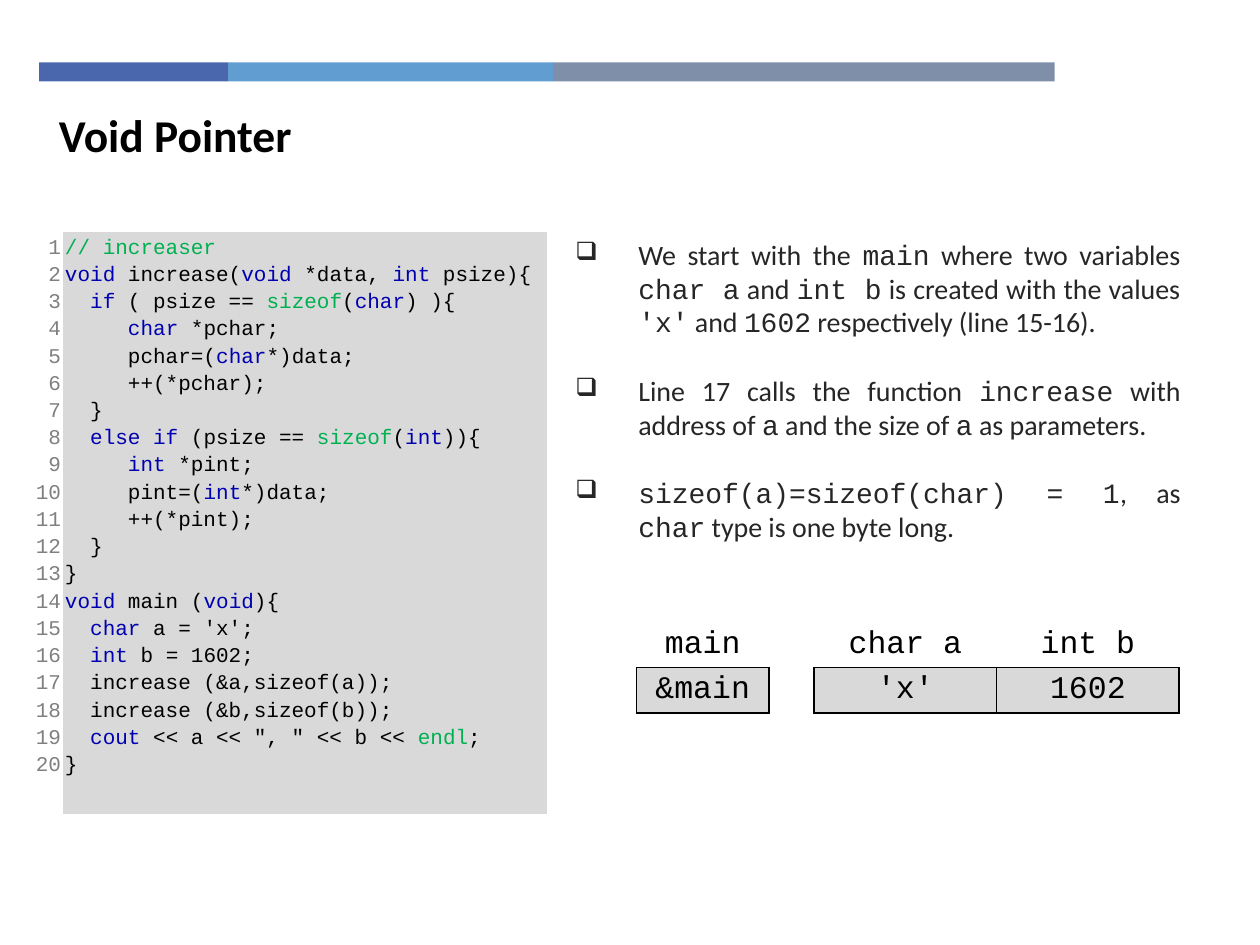
from dataclasses import dataclass
from typing import Callable, Sequence

from lxml.etree import SubElement
from pptx import Presentation
from pptx.dml.color import RGBColor
from pptx.enum.shapes import MSO_SHAPE as Shape
from pptx.enum.text import MSO_ANCHOR as Anchor, PP_ALIGN as Align
from pptx.oxml.ns import qn
from pptx.util import Cm, Pt


@dataclass(frozen=True)
class Theme:
    sans: str = "Calibri"
    mono: str = "Courier New"
    title_size: int = 26
    body_size: int = 16
    code_size: int = 12
    memory_size: int = 18
    black: str = "000000"
    body: str = "262626"
    number: str = "808080"
    keyword: str = "0000B0"
    builtin: str = "00B050"
    panel: str = "D9D9D9"


@dataclass(frozen=True)
class Bar:
    left: float
    width: float
    color: str


@dataclass(frozen=True)
class MemoryColumn:
    width: float
    name: str = ""
    value: str = ""


THEME = Theme()
MARK = "`"  # encloses inline code in the body and coloured words in the code

BARS = [
    Bar(0.79, 3.81, "4A66AC"),
    Bar(4.6, 6.55, "629DD1"),
    Bar(11.15, 10.11, "7F8FA9"),
]

EXPLANATION = [
    "We start with the `main` where two variables `char a` and `int b` "
    "is created with the values `'x'` and `1602` respectively (line 15-16).",
    "Line 17 calls the function `increase` with address of `a` "
    "and the size of `a` as parameters.",
    "`sizeof(a)=sizeof(char) = 1`, as `char` type is one byte long.",
]

CODE = """\
`// increaser`
`void` increase(`void` *data, `int` psize){
  `if` ( psize == `sizeof`(`char`) ){
     `char` *pchar;
     pchar=(`char`*)data;
     ++(*pchar);
  }
  `else if` (psize == `sizeof`(`int`)){
     `int` *pint;
     pint=(`int`*)data;
     ++(*pint);
  }
}
`void` main (`void`){
  `char` a = 'x';
  `int` b = 1602;
  increase (&a,sizeof(a));
  increase (&b,sizeof(b));
  `cout` << a << ", " << b << `endl`;
}""".splitlines()
BUILTINS = {"// increaser", "sizeof", "endl"}

MEMORY = [
    MemoryColumn(2.67, "main", "&main"),
    MemoryColumn(0.91),
    MemoryColumn(3.68, "char a", "'x'"),
    MemoryColumn(3.68, "int b", "1602"),
]


def inline_code(word: str) -> dict:
    return {"font": THEME.mono}


def highlight(word: str) -> dict:
    return {"color": THEME.builtin if word in BUILTINS else THEME.keyword}


def format_run(run, *, font: str, size: float, color: str, bold: bool = False) -> None:
    run.font.name, run.font.size, run.font.bold = font, Pt(size), bold
    run.font.color.rgb = RGBColor.from_string(color)


def add_bullet(paragraph) -> None:
    properties = paragraph._p.get_or_add_pPr()
    properties.set("marL", str(Cm(1.27)))
    properties.set("indent", str(-Cm(1.27)))
    SubElement(properties, qn("a:buSzPct"), val="90000")
    SubElement(properties, qn("a:buChar"), char="❑")


def write(frame, lines: Sequence[str], *, align=Align.LEFT, before: float = 0,
          spacing: float = 1.0, bullet: bool = False,
          marked: Callable[[str], dict] = inline_code, **style) -> None:
    """Write one paragraph per line; marked words get extra formatting."""
    frame.word_wrap = True
    for index, line in enumerate(lines):
        paragraph = frame.add_paragraph() if index else frame.paragraphs[0]
        paragraph.alignment = align
        paragraph.line_spacing = spacing
        paragraph.space_before = Pt(before)
        if bullet:
            add_bullet(paragraph)
        for position, piece in enumerate(line.split(MARK)):
            if piece:
                run = paragraph.add_run()
                run.text = piece
                extra = marked(piece) if position % 2 else {}
                format_run(run, **{**style, **extra})


def add_bar(slide, bar: Bar) -> None:
    shape = slide.shapes.add_shape(
        Shape.RECTANGLE, Cm(bar.left), Cm(1.26), Cm(bar.width), Cm(0.38))
    shape.shadow.inherit = False
    shape.fill.solid()
    shape.fill.fore_color.rgb = RGBColor.from_string(bar.color)
    shape.line.fill.background()


def add_text(slide, box: Sequence[float], lines: Sequence[str], **style) -> None:
    shape = slide.shapes.add_textbox(*map(Cm, box))
    write(shape.text_frame, lines, **style)


def add_table(slide, left: float, top: float, widths: Sequence[float],
              heights: Sequence[float]):
    table = slide.shapes.add_table(
        len(heights), len(widths), Cm(left), Cm(top),
        Cm(sum(widths)), Cm(sum(heights))).table
    table.first_row = table.horz_banding = False
    for column, width in zip(table.columns, widths):
        column.width = Cm(width)
    for row, height in zip(table.rows, heights):
        row.height = Cm(height)
    return table


def fill_cell(cell, lines: Sequence[str], *, fill: str = "", edges: str = "",
              side: float = 0.04, end: float = 0.03, anchor=Anchor.TOP, **style) -> None:
    cell.margin_left = cell.margin_right = Cm(side)
    cell.margin_top = cell.margin_bottom = Cm(end)
    cell.vertical_anchor = anchor
    if fill:
        cell.fill.solid()
        cell.fill.fore_color.rgb = RGBColor.from_string(fill)
    else:
        cell.fill.background()
    properties = cell._tc.get_or_add_tcPr()
    for index, edge in enumerate("LRTB"):
        line = SubElement(properties, qn(f"a:ln{edge}"), w=str(Pt(1)))
        if edge in edges:
            solid = SubElement(line, qn("a:solidFill"))
            SubElement(solid, qn("a:srgbClr"), val=THEME.black)
        else:
            SubElement(line, qn("a:noFill"))
        properties.insert(index, line)  # borders come before the fill
    write(cell.text_frame, lines, **style)


def add_listing(slide) -> None:
    table = add_table(slide, 0.48, 4.67, [0.79, 9.75], [11.73])
    style = dict(font=THEME.mono, size=THEME.code_size, spacing=1.15)
    numbers = [str(number) for number in range(1, len(CODE) + 1)]
    fill_cell(table.cell(0, 0), numbers, align=Align.RIGHT, color=THEME.number, **style)
    fill_cell(table.cell(0, 1), CODE, fill=THEME.panel, marked=highlight,
              color=THEME.black, **style)


def add_memory(slide) -> None:
    table = add_table(slide, 12.83, 12.55, [column.width for column in MEMORY], [0.91] * 2)
    style = dict(font=THEME.mono, size=THEME.memory_size, color=THEME.black,
                 align=Align.CENTER, anchor=Anchor.MIDDLE, side=0.18, end=0)
    for index, column in enumerate(MEMORY):
        used = bool(column.name)
        fill_cell(table.cell(0, index), [column.name], edges="B" if used else "", **style)
        fill_cell(table.cell(1, index), [column.value], edges="LRTB" if used else "LR",
                  fill=THEME.panel if used else "", **style)


def main() -> None:
    presentation = Presentation()
    presentation.slide_width, presentation.slide_height = Cm(25.4), Cm(19.05)
    slide = presentation.slides.add_slide(presentation.slide_layouts[6])

    # Header bars and title
    for bar in BARS:
        add_bar(slide, bar)
    add_text(slide, (0.94, 2.03, 18.19, 1.37), ["Void Pointer"], font=THEME.sans,
             size=THEME.title_size, color=THEME.black, bold=True)

    # Explanation beside the numbered code
    add_text(slide, (11.35, 4.67, 12.7, 6.6), EXPLANATION, font=THEME.sans,
             size=THEME.body_size, color=THEME.body, align=Align.JUSTIFY,
             before=20, bullet=True)
    add_listing(slide)

    # Memory contents
    add_memory(slide)
    presentation.save("out.pptx")


if __name__ == "__main__":
    main()
